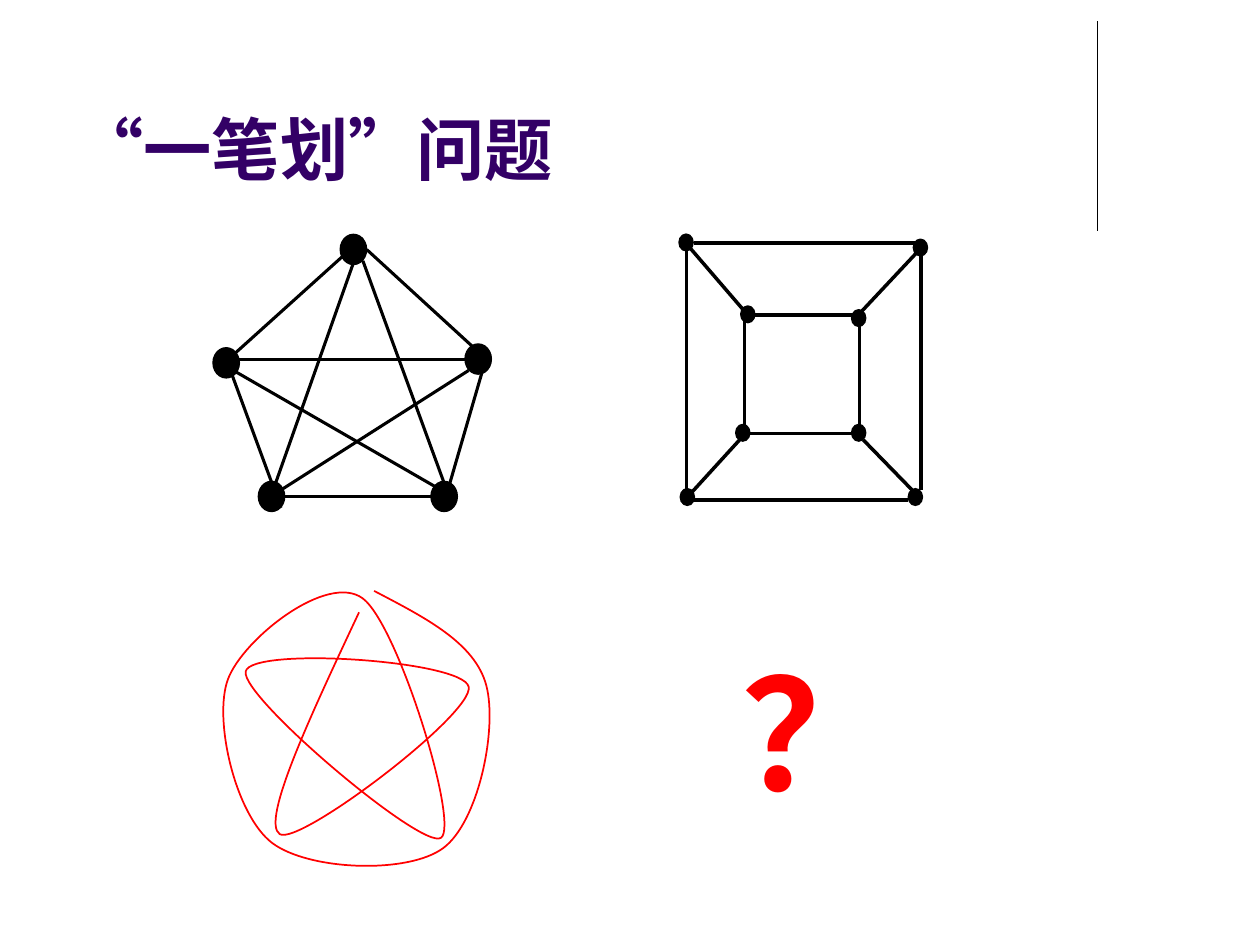
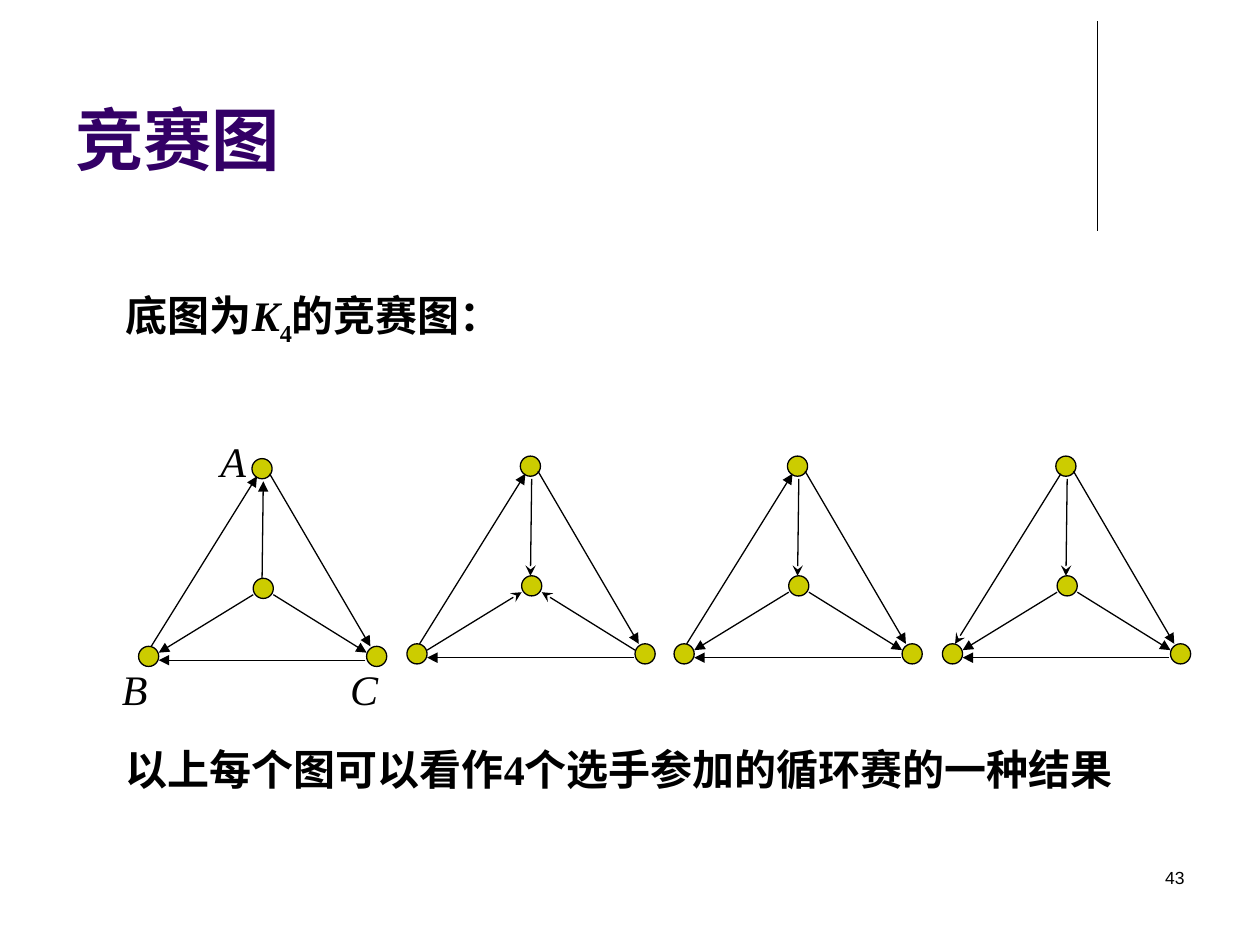
from lxml.etree import SubElement
from pptx import Presentation
from pptx.dml.color import RGBColor
from pptx.enum.shapes import MSO_CONNECTOR, MSO_SHAPE
from pptx.enum.text import MSO_ANCHOR, MSO_AUTO_SIZE, PP_ALIGN
from pptx.oxml.ns import qn
from pptx.util import Pt

PX = 9144  # 100 px to the inch
BLACK = RGBColor(0x00, 0x00, 0x00)
PURPLE = RGBColor(0x33, 0x00, 0x66)
RED = RGBColor(0xFF, 0x00, 0x00)
OLIVE = RGBColor(0xCC, 0xCC, 0x00)

TITLE = dict(name="Arial", size=Pt(39), bold=True, color=PURPLE)
BODY = dict(name="Times New Roman", size=Pt(24), bold=True, color=BLACK)
LABEL = BODY | dict(bold=False, italic=True)
QUESTION = BODY | dict(size=Pt(88), color=RED)
PAGE_NUMBER = dict(name="Arial", size=Pt(10), color=BLACK)

# Node corners and edge ends, relative to the box of each graph
K5_NODES = [(101, 0), (0, 90), (200, 87), (36, 196), (173, 196)]
K5_EDGES = [
    (46, 208, 203, 108), (57, 208, 173, 208), (18, 94, 119, 3),
    (122, 12, 206, 89), (185, 208, 214, 108), (15, 111, 54, 217),
    (19, 99, 221, 99), (46, 208, 111, 24), (119, 21, 183, 196),
    (18, 109, 176, 200),
]
CUBE_NODES = [(0, 0), (1, 202), (182, 202), (186, 4),
              (49, 57), (137, 60), (45, 151), (137, 151)]
CUBE_EDGES = [
    (12, 7, 190, 7), (10, 211, 182, 211), (6, 12, 6, 205),
    (192, 15, 192, 203), (60, 64, 138, 64), (56, 158, 137, 158),
    (52, 68, 52, 152), (143, 70, 143, 154), (8, 10, 51, 60),
    (49, 162, 8, 207), (145, 61, 190, 13), (146, 163, 185, 203),
]
STROKE_KNOTS = [(116, 32), (53, 208), (203, 91), (26, 79), (181, 211), (119, 21),
                (12, 85), (47, 215), (183, 219), (217, 90), (128, 15)]

PLAYERS = [(90, 0), (0, 149), (181, 149), (91, 95)]
MATCHES = {
    "BA": (10, 149, 94, 14), "AC": (104, 12, 184, 149), "CB": (180, 160, 16, 160),
    "DA": (98, 95, 99, 18), "DB": (91, 108, 16, 154), "DC": (107, 108, 181, 154),
}
REVERSED_MATCHES = [(), ("DA", "DB", "DC"), ("DA",), ("BA", "DA")]


def emu(*lengths):
    return [n * PX for n in lengths]


def style_run(r, style):
    for key, value in style.items():
        if key == "color":
            r.font.color.rgb = value
        else:
            setattr(r.font, key, value)


def add_text(shapes, box, runs, grow=True, anchor=MSO_ANCHOR.TOP, align=PP_ALIGN.LEFT):
    """Add one paragraph made of (text, style) runs."""
    sp = shapes.add_textbox(*emu(*box))
    tf = sp.text_frame
    tf.word_wrap = True
    tf.auto_size = MSO_AUTO_SIZE.SHAPE_TO_FIT_TEXT if grow else MSO_AUTO_SIZE.NONE
    tf.vertical_anchor = anchor
    p = tf.paragraphs[0]
    p.alignment = align
    for text, style in runs:
        r = p.add_run()
        r.text = text
        style_run(r, style)
    return p


def add_line(shapes, x1, y1, x2, y2, width=0.75, arrow=None):
    """Add a line; arrow is (end tag, head type)."""
    sp = shapes.add_connector(MSO_CONNECTOR.STRAIGHT, *emu(x1, y1, x2, y2))
    sp.line.color.rgb = BLACK
    sp.line.width = Pt(width)
    if arrow:
        tag, head = arrow
        SubElement(sp.line._get_or_add_ln(), qn(tag), type=head)
    SubElement(sp._element.spPr, qn("a:effectLst"))


def add_node(shapes, x, y, w, h, fill=BLACK, kind=MSO_SHAPE.OVAL, width=0.75):
    sp = shapes.add_shape(kind, *emu(x, y, w, h))
    sp.shadow.inherit = False
    sp.fill.solid()
    sp.fill.fore_color.rgb = fill
    sp.line.color.rgb = BLACK
    sp.line.width = Pt(width)


def add_graph(shapes, left, top, nodes, edges, node_size, edge_width, **node_format):
    for x, y in nodes:
        add_node(shapes, left + x, top + y, *node_size, **node_format)
    for x1, y1, x2, y2 in edges:
        add_line(shapes, left + x1, top + y1, left + x2, top + y2, edge_width)


def middle(a, b):
    return (a[0] + b[0]) / 2, (a[1] + b[1]) / 2


def curve_points(knots):
    """Bezier points of a smooth curve: two controls and an end per segment."""
    steps = [((c[0] - a[0]) / 6, (c[1] - a[1]) / 6) for a, c in zip(knots, knots[2:])]
    inner = list(zip(knots[1:-1], steps))
    arrive = [(x - dx, y - dy) for (x, y), (dx, dy) in inner]
    leave = [(x + dx, y + dy) for (x, y), (dx, dy) in inner]
    leave.insert(0, middle(knots[0], arrive[0]))
    arrive.append(middle(leave[-1], knots[-1]))
    return [pt for segment in zip(leave, arrive, knots[1:]) for pt in segment]


def add_stroke(shapes, left, top, knots):
    builder = shapes.build_freeform(*knots[0], scale=PX)
    builder.add_line_segments(curve_points(knots), close=False)
    sp = builder.convert_to_shape(*emu(left, top))
    lines = list(sp._element.iter(qn("a:lnTo")))
    for i in range(0, len(lines), 3):
        curve = lines[i]
        bezier = SubElement(curve.getparent(), qn("a:cubicBezTo"))
        for line in lines[i:i + 3]:
            bezier.append(line[0])
            line.getparent().remove(line)
    sp.shadow.inherit = False
    sp.fill.background()
    sp.line.color.rgb = RED
    sp.line.width = Pt(1)


def add_tournament(shapes, left, top, reversed_matches):
    for x, y in PLAYERS:
        add_node(shapes, left + x, top + y, 16, 16, OLIVE)
    for match, (x1, y1, x2, y2) in MATCHES.items():
        back = match in reversed_matches
        arrow = ("a:headEnd", "stealth") if back else ("a:tailEnd", "triangle")
        add_line(shapes, left + x1, top + y1, left + x2, top + y2, arrow=arrow)


def new_slide(prs, title, title_height):
    shapes = prs.slides.add_slide(prs.slide_layouts[6]).shapes
    add_line(shapes, 871, 17, 871, 183)
    add_text(shapes, (50, 13, 825, title_height), [(title, TITLE)],
             grow=False, anchor=MSO_ANCHOR.BOTTOM)
    return shapes


def one_stroke_slide(prs):
    shapes = new_slide(prs, "“一笔划”问题", 142)
    add_stroke(shapes, 169, 454, STROKE_KNOTS)
    add_graph(shapes.add_group_shape().shapes, 169, 186, K5_NODES, K5_EDGES,
              (21, 24), 1.75, kind=MSO_SHAPE.FLOWCHART_CONNECTOR)
    cube = shapes.add_group_shape().shapes
    add_text(cube, (579, 501, 158, 157), [("？", QUESTION)])
    add_graph(cube, 539, 186, CUBE_NODES, CUBE_EDGES, (11, 13), 2, width=1)


def tournament_slide(prs):
    shapes = new_slide(prs, "竞赛图", 134)
    p = add_text(shapes, (90, 225, 780, 50), [
        ("底图为", BODY), ("K", BODY | dict(italic=True)),
        ("4", BODY), ("的竞赛图：", BODY)])
    p.runs[2].font._element.set("baseline", "-25000")
    for i, reversed_matches in enumerate(REVERSED_MATCHES):
        top = 362 if i else 364
        add_tournament(shapes, 110 + (425 * i + 1) // 2, top, reversed_matches)
    for name, x, y in [("A", 165, 341), ("B", 87, 522), ("C", 268, 522)]:
        add_text(shapes, (x, y, 47, 50), [(name, LABEL)])
    add_text(shapes, (90, 585, 823, 51),
             [("以上每个图可以看作4个选手参加的循环赛的一种结果", BODY)])
    add_text(shapes, (717, 683, 233, 50), [("43", PAGE_NUMBER)],
             grow=False, align=PP_ALIGN.RIGHT)


def main():
    prs = Presentation()
    prs.slide_width, prs.slide_height = emu(1000, 750)
    one_stroke_slide(prs)
    tournament_slide(prs)
    prs.save("out.pptx")


if __name__ == "__main__":
    main()
